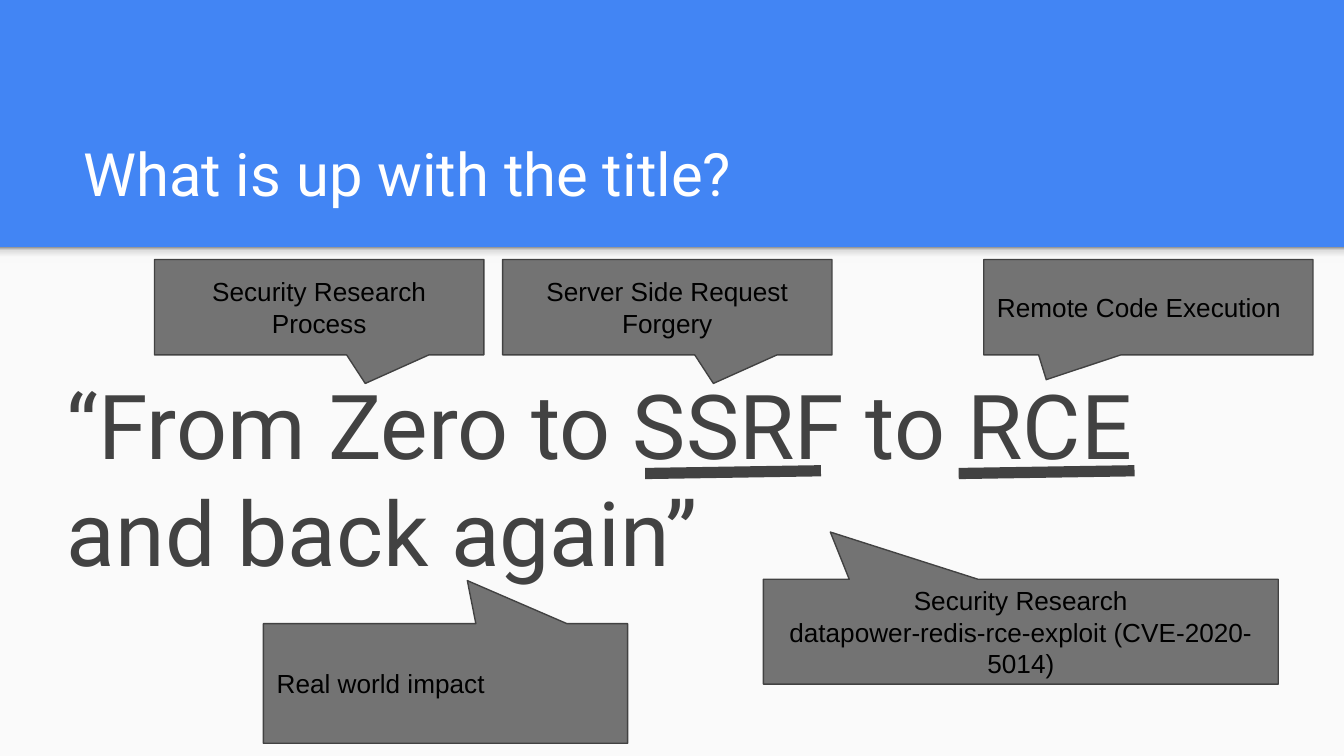
from copy import deepcopy
from lxml.etree import SubElement
from pptx import Presentation
from pptx.dml.color import RGBColor
from pptx.enum.shapes import MSO_CONNECTOR, MSO_SHAPE
from pptx.enum.text import MSO_ANCHOR, MSO_AUTO_SIZE, PP_ALIGN
from pptx.oxml.ns import qn
from pptx.util import Pt

BLUE = RGBColor(0x42, 0x85, 0xF4)
PAPER = RGBColor(0xFA, 0xFA, 0xFA)
WHITE = RGBColor(0xFF, 0xFF, 0xFF)
BLACK = RGBColor(0, 0, 0)
GRAY = RGBColor(0x73, 0x73, 0x73)
DARK = RGBColor(0x42, 0x42, 0x42)
MIST = RGBColor(0xF9, 0xF9, 0xF9)
SILVER = RGBColor(0xDE, 0xDE, 0xDE)
SHADE = RGBColor(0x99, 0x99, 0x99)


def write(shape, lines, font, size, color, anchor, align=PP_ALIGN.LEFT):
    frame = shape.text_frame
    frame.text = "\n".join(lines)
    form = {
        "word_wrap": True,
        "auto_size": MSO_AUTO_SIZE.NONE,
        "vertical_anchor": anchor,
        "margin_left": Pt(7.2),
        "margin_right": Pt(7.2),
        "margin_top": Pt(7.2),
        "margin_bottom": Pt(7.2),
    }
    for name, value in form.items():
        setattr(frame, name, value)
    for para in frame.paragraphs:
        para.alignment = align
        para.font.name = font
        para.font.size = Pt(size)
        para.font.color.rgb = color


def block(kind, left, top, width, height):
    shape = slide.shapes.add_shape(kind, Pt(left), Pt(top), Pt(width), Pt(height))
    shape.shadow.inherit = False
    shape.line.fill.background()
    return shape


deck = Presentation()
deck.slide_width = Pt(720)
deck.slide_height = Pt(405)
slide = deck.slides.add_slide(deck.slide_layouts[5])
slide.background.fill.solid()
slide.background.fill.fore_color.rgb = BLUE

panel = block(MSO_SHAPE.RECTANGLE, 0, 132.5, 720, 272.5)
panel.fill.solid()
panel.fill.fore_color.rgb = PAPER

band = block(MSO_SHAPE.RECTANGLE, 0, 132.5, 720, 8.6)
band.fill.gradient()
band.fill.gradient_angle = 90
stops = band._element.spPr.find(qn("a:gradFill")).find(qn("a:gsLst"))
for stop in list(stops):
    stops.append(deepcopy(stop))
shades = [(0, MIST), (0.36, MIST), (0.8, SILVER), (1, SHADE)]
for stop, (place, color) in zip(band.fill.gradient_stops, shades):
    stop.position = place
    stop.color.rgb = color

title = slide.shapes.title
spot = {"left": 37.4, "top": 58.3, "width": 647.3, "height": 60.5}
for name, value in spot.items():
    setattr(title, name, Pt(value))
write(title, ["What is up with the title?"], "Roboto", 32, WHITE, MSO_ANCHOR.BOTTOM)

quote = slide.shapes.add_textbox(Pt(28.8), Pt(190.8), Pt(674), Pt(131))
write(quote, ["“From Zero to SSRF to RCE and back again”"],
      "Roboto", 48, DARK, MSO_ANCHOR.TOP)

LEFT, MID = PP_ALIGN.LEFT, PP_ALIGN.CENTER
notes = [
    (141.1, 334.1, 195.1, 64.1, 0.06, -0.86, LEFT, ["Real world impact"]),
    (409, 310.3, 275.8, 56.2, -0.37, -0.95, MID,
     ["Security Research", "datapower-redis-rce-exploit (CVE-2020-5014)"]),
    (527, 139, 176.4, 51.1, -0.31, 0.76, LEFT, ["Remote Code Execution"]),
    (269.3, 139, 176.4, 51.1, 0.14, 0.8, MID, ["Server Side Request Forgery"]),
    (82.8, 139, 176.4, 51.1, 0.14, 0.8, MID, ["Security Research Process"]),
]
for left, top, width, height, tip_x, tip_y, align, lines in notes:
    note = block(MSO_SHAPE.RECTANGULAR_CALLOUT, left, top, width, height)
    note.adjustments[0] = tip_x
    note.adjustments[1] = tip_y
    note.fill.solid()
    note.fill.fore_color.rgb = GRAY
    note.line.color.rgb = DARK
    note.line.width = Pt(0.75)
    write(note, lines, "Arial", 14, BLACK, MSO_ANCHOR.MIDDLE, align)

for left in (345.6, 513.6):
    rule = slide.shapes.add_connector(
        MSO_CONNECTOR.STRAIGHT, Pt(left), Pt(253.7), Pt(left + 94.2), Pt(252.2))
    rule.line.color.rgb = DARK
    rule.line.width = Pt(6)
    SubElement(rule._element.spPr, qn("a:effectLst"))

deck.save("out.pptx")
